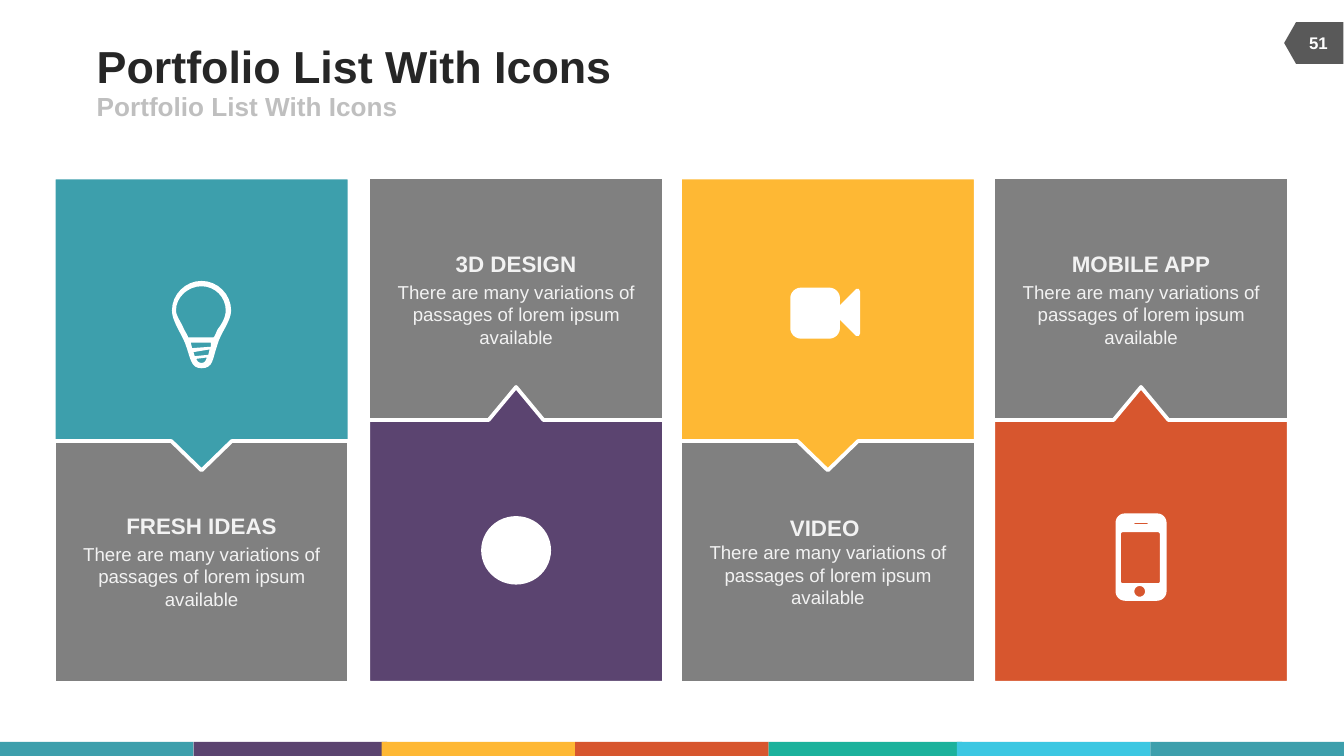
"""Build a portfolio slide of four icon tiles with alternating callouts."""
import math

from pptx import Presentation
from pptx.dml.color import RGBColor
from pptx.enum import shapes, text
from pptx.util import Pt

TEAL = RGBColor(0x3D, 0x9F, 0xAC)
PURPLE = RGBColor(0x5B, 0x44, 0x70)
YELLOW = RGBColor(0xFE, 0xB8, 0x34)
ORANGE = RGBColor(0xD7, 0x56, 0x2E)
GREEN = RGBColor(0x1B, 0xB2, 0x9C)
SKY = RGBColor(0x3B, 0xC7, 0xE2)
GRAY = RGBColor(0x80, 0x80, 0x80)
DARK = RGBColor(0x59, 0x59, 0x59)
INK = RGBColor(0x26, 0x26, 0x26)
SILVER = RGBColor(0xBF, 0xBF, 0xBF)
PALE = RGBColor(0xF2, 0xF2, 0xF2)
WHITE = RGBColor(0xFF, 0xFF, 0xFF)

TITLE = "Portfolio List With Icons"
BODY = "There are many variations of passages of lorem ipsum available"
STRIPES = [(0, TEAL), (103.68, PURPLE), (204.48, YELLOW), (308.16, ORANGE),
           (411.84, GREEN), (512.64, SKY), (616.32, TEAL)]
TILES = [(28.8, "FRESH IDEAS", TEAL), (197.28, "3D DESIGN", PURPLE),
         (364.32, "VIDEO ", YELLOW), (532.08, "MOBILE APP", ORANGE)]
TILE_W, TILE_TOP, TILE_BOTTOM, PANEL_H = 158.4, 95.04, 365.76, 130.32
DOWN = (shapes.MSO_SHAPE.DOWN_ARROW_CALLOUT, 156.96, (0.236, 0.103, 0.1, 0.9))
UP = (shapes.MSO_SHAPE.UP_ARROW_CALLOUT, 158.4, (0.25, 0.093, 0.112, 0.888))
ICON_UNIT, FINE = Pt(0.72), 100


def curve(start, *segments, steps=8):
    pts = [start]
    for b, c, d in segments:
        a = pts[-1]
        for t in (i / steps for i in range(1, steps + 1)):
            weights = ((1 - t) ** 3, 3 * t * (1 - t) ** 2, 3 * t * t * (1 - t), t ** 3)
            pts.append(tuple(sum(w * p[k] for w, p in zip(weights, (a, b, c, d)))
                             for k in (0, 1)))
    return pts


def rounded(x, y, w, h, r, steps=6):
    corners = [(x + w - r, y + h - r), (x + r, y + h - r), (x + r, y + r), (x + w - r, y + r)]
    return [(cx + r * math.cos(a), cy + r * math.sin(a))
            for q, (cx, cy) in enumerate(corners)
            for a in ((q + i / steps) * math.pi / 2 for i in range(steps + 1))]


BULB = [
    curve((22, 0), ((10, 0), (0, 10), (0, 22)), ((0, 30), (7, 39), (10, 47)),
          ((14, 58), (14, 65), (22, 65)), ((31, 65), (30, 58), (34, 47)),
          ((36, 39), (44, 30), (44, 22)), ((44, 10), (34, 0), (22, 0))),
    curve((12, 42), ((12, 41), (10, 38), (9, 36)), ((7, 31), (3, 26), (3, 22)),
          ((3, 12), (12, 4), (22, 4)), ((32, 4), (40, 12), (40, 22)),
          ((40, 26), (38, 31), (34, 36)), ((33, 38), (32, 41), (31, 42))),
    [(14, 46), (29, 46), (29, 49), (15, 50)],
    [(16, 53), (28, 51), (27, 55), (17, 56)],
    curve((18, 58), ((19, 60), (20, 61), (22, 61)), ((24, 61), (25, 60), (26, 57))),
]
CAMERA = [
    rounded(0, 0, 37, 38, 8),
    [(37, 13), (49, 1), (51, 1), (52, 3), (52, 34), (51, 36), (49, 36), (37, 24)],
]
PHONE = [rounded(0, 0, 38, 65, 7), rounded(4, 14, 29, 38, 1.5),
         rounded(14, 7, 10, 1, 0.5), rounded(14, 54, 8, 8, 4)]
ICONS = [(92.16, 150.48, BULB), (423.36, 154.08, CAMERA), (597.6, 275.04, PHONE)]

prs = Presentation()
prs.slide_width, prs.slide_height = Pt(720), Pt(405)
s = prs.slides.add_slide(prs.slide_layouts[6])


def paint(sp, fill, line=None):
    sp.shadow.inherit = False
    sp.fill.solid()
    sp.fill.fore_color.rgb = fill
    if line is None:
        sp.line.fill.background()
    else:
        sp.line.color.rgb = line
        sp.line.width = Pt(2)


def add_box(kind, x, y, w, h, fill, line=None):
    sp = s.shapes.add_shape(kind, Pt(x), Pt(y), Pt(w), Pt(h))
    paint(sp, fill, line)
    return sp


def add_run(p, content, size=10, color=PALE, bold=False, align=None, before=0):
    p.alignment = align
    p.space_before = Pt(before)
    r = p.add_run()
    r.text = content
    r.font.name, r.font.size, r.font.bold = "Arial", Pt(size), bold
    r.font.color.rgb = color


def add_label(content, x, y, w, h, margin=None, wrap=False, **fmt):
    tf = s.shapes.add_textbox(Pt(x), Pt(y), Pt(w), Pt(h)).text_frame
    tf.word_wrap = wrap
    tf.vertical_anchor = text.MSO_ANCHOR.MIDDLE
    if margin is not None:
        tf.margin_left = tf.margin_right = tf.margin_top = tf.margin_bottom = Pt(margin)
    add_run(tf.paragraphs[0], content, bold=True, **fmt)


def add_icon(x, y, contours):
    fb = None
    for contour in contours:
        pts = [(px * FINE, py * FINE) for px, py in contour]
        if fb is None:
            fb = s.shapes.build_freeform(*pts[0], scale=ICON_UNIT / FINE)
        else:
            fb.move_to(*pts[0])
        fb.add_line_segments(pts[1:], close=True)
    paint(fb.convert_to_shape(Pt(x), Pt(y)), WHITE)


RECT = shapes.MSO_SHAPE.RECTANGLE
CENTER = text.PP_ALIGN.CENTER

for x, color in STRIPES:
    add_box(RECT, x, 397.44, 103.68, 7.56, color)
badge = add_box(shapes.MSO_SHAPE.FLOWCHART_OFFPAGE_CONNECTOR, 692.64, 7.2, 22.32, 31.68, DARK)
badge.rotation = 90

add_label(TITLE, 51.84, 20.88, 444.24, 28.08, margin=0, size=24, color=INK)
add_label(TITLE, 51.84, 48.96, 324, 15.84, margin=0, size=14, color=SILVER)
add_label("51", 691.2, 12.24, 30.24, 21.6, wrap=True, size=9, color=WHITE, align=CENTER)

for i, (x, heading, color) in enumerate(TILES):
    points_up = i % 2 == 1
    panel_top = TILE_TOP if points_up else TILE_BOTTOM - PANEL_H
    tf = add_box(RECT, x, panel_top, TILE_W, PANEL_H, GRAY, WHITE).text_frame
    tf.word_wrap = True
    tf.vertical_anchor = text.MSO_ANCHOR.MIDDLE
    p = tf.paragraphs[0]
    add_run(p, heading, size=12, bold=True, align=CENTER, before=2.4)
    if heading == "VIDEO ":
        p.add_line_break()
    else:
        p = tf.add_paragraph()
    add_run(p, BODY, align=CENTER, before=2)

    kind, h, adjustments = UP if points_up else DOWN
    callout = add_box(kind, x, TILE_BOTTOM - h if points_up else TILE_TOP,
                      TILE_W, h, color, WHITE)
    for k, value in enumerate(adjustments):
        callout.adjustments[k] = value

add_box(shapes.MSO_SHAPE.OVAL, 257.76, 276.48, 37.44, 36.72, WHITE)
for icon in ICONS:
    add_icon(*icon)

prs.save("out.pptx")
